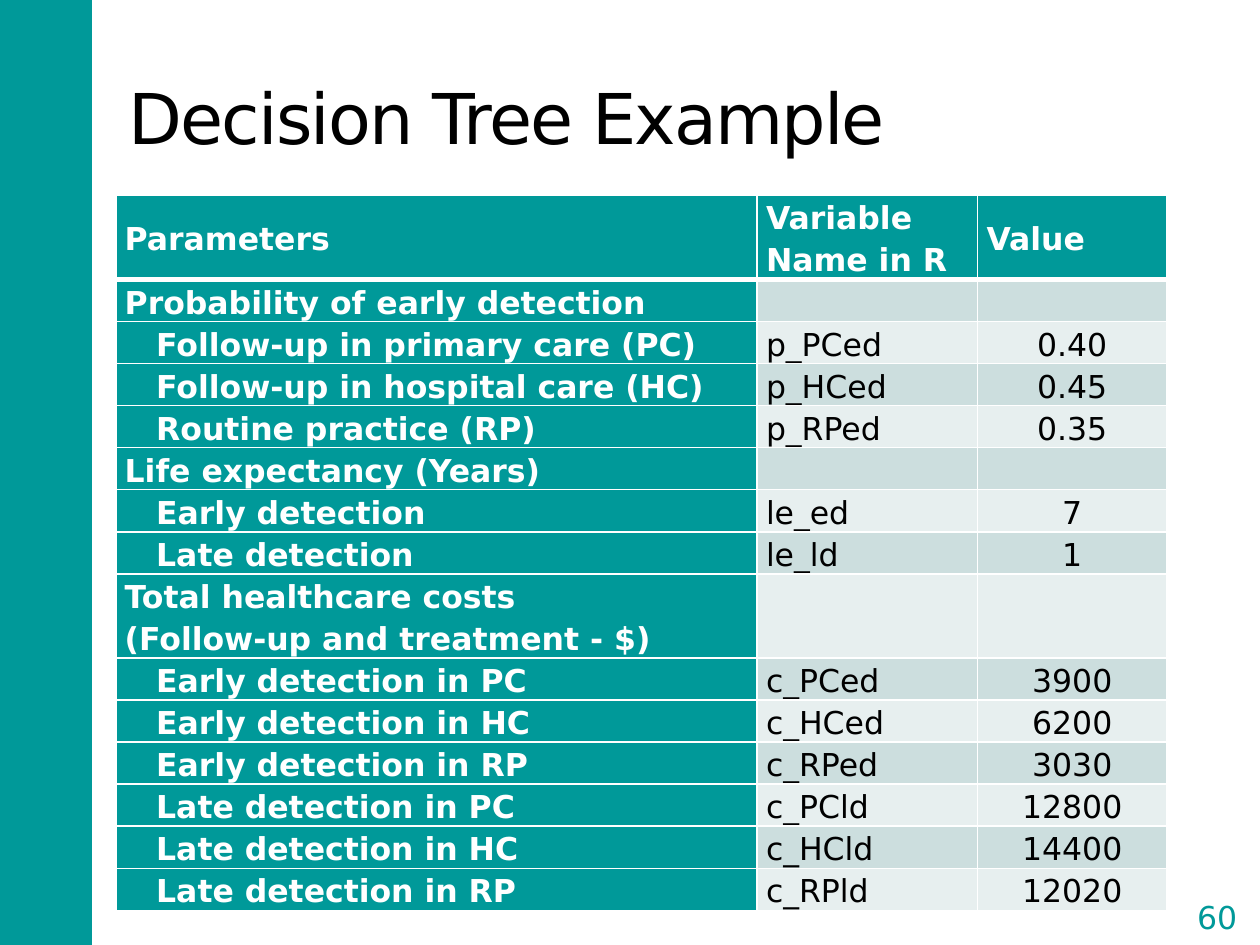
from dataclasses import dataclass

from lxml.etree import SubElement
from pptx import Presentation
from pptx.dml.color import RGBColor
from pptx.enum.shapes import MSO_SHAPE
from pptx.enum.text import MSO_ANCHOR, PP_ALIGN
from pptx.oxml.ns import qn
from pptx.util import Inches, Pt


@dataclass(frozen=True)
class Theme:
    font: str = "DejaVu Sans"
    teal: str = "009999"
    dark_band: str = "CCDEDE"
    light_band: str = "E7EFEF"
    white: str = "FFFFFF"
    black: str = "000000"
    title_size: int = 40
    body_size: int = 18


HEADER = ("Parameters", "Variable\u00a0Name in R".replace("\u00a0", " "), "Value")
# A row without a variable name opens a group.
PARAMETERS = [
    ("Probability of early detection", "", ""),
    ("Follow-up in primary care (PC)", "p_PCed", "0.40"),
    ("Follow-up in hospital care (HC)", "p_HCed", "0.45"),
    ("Routine practice (RP)", "p_RPed", "0.35"),
    ("Life expectancy (Years)", "", ""),
    ("Early detection", "le_ed", "7"),
    ("Late detection", "le_ld", "1"),
    ("Total healthcare costs\n(Follow-up and treatment - $)", "", ""),
    ("Early detection in PC", "c_PCed", "3900"),
    ("Early detection in HC", "c_HCed", "6200"),
    ("Early detection in RP", "c_RPed", "3030"),
    ("Late detection in PC", "c_PCld", "12800"),
    ("Late detection in HC", "c_HCld", "14400"),
    ("Late detection in RP", "c_RPld", "12020"),
]
COLUMN_WIDTHS = (5.09, 1.75, 1.5)
LINE_HEIGHT = 0.33


class SlideBuilder:
    def __init__(self, page, theme):
        self.page = page
        self.theme = theme

    def style(self, para, size, color, bold=False, align=PP_ALIGN.LEFT):
        para.alignment = align
        font = para.font
        font.name, font.size, font.bold = self.theme.font, Pt(size), bold
        font.color.rgb = RGBColor.from_string(color)

    def fill(self, target, color):
        target.fill.solid()
        target.fill.fore_color.rgb = RGBColor.from_string(color)

    def title(self, text, left, top, width, height):
        box = self.page.shapes.title
        box.left, box.top = Inches(left), Inches(top)
        box.width, box.height = Inches(width), Inches(height)
        box.text_frame.text = text
        box.text_frame.vertical_anchor = MSO_ANCHOR.MIDDLE
        para = box.text_frame.paragraphs[0]
        self.style(para, self.theme.title_size, self.theme.black)
        para.runs[0].font._element.set("spc", "-100")

    def shape(self, kind, left, top, width, height):
        shape = self.page.shapes.add_shape(
            kind, Inches(left), Inches(top), Inches(width), Inches(height))
        shape.shadow.inherit = False
        return shape

    def side_bar(self, left, top, width, height):
        bar = self.shape(MSO_SHAPE.RECTANGLE, left, top, width, height)
        self.fill(bar, self.theme.teal)
        bar.line.fill.background()

    def page_number(self, text, left, top, width, height):
        bracket = self.shape(MSO_SHAPE.DOUBLE_BRACKET, left, top, width, height)
        bracket.adjustments[0] = 0.18
        bracket.fill.background()
        bracket.line.color.rgb = RGBColor.from_string(self.theme.white)
        bracket.line.width = Pt(1.5)
        frame = bracket.text_frame
        frame.margin_left = frame.margin_right = 0
        frame.margin_top = frame.margin_bottom = 0
        frame.vertical_anchor = MSO_ANCHOR.MIDDLE
        frame.text = text
        self.style(frame.paragraphs[0], self.theme.body_size, self.theme.teal,
                   align=PP_ALIGN.CENTER)

    def borders(self, cell, bottom_width):
        """Rule all four sides; call before the fill, which must follow them."""
        properties = cell._tc.get_or_add_tcPr()
        for side, width in (("L", 1), ("R", 1), ("T", 1), ("B", bottom_width)):
            line = SubElement(properties, qn(f"a:ln{side}"), w=str(Pt(width)))
            solid = SubElement(line, qn("a:solidFill"))
            SubElement(solid, qn("a:srgbClr"), val=self.theme.white)

    def cell(self, cell, text, row, column, indented):
        theme = self.theme
        is_header = row == 0
        is_label = is_header or column == 0
        self.borders(cell, 3 if is_header else 1)
        band = theme.dark_band if row % 2 else theme.light_band
        self.fill(cell, theme.teal if is_label else band)
        cell.margin_left = cell.margin_right = Inches(0.07)
        cell.margin_top = cell.margin_bottom = 0
        cell.vertical_anchor = MSO_ANCHOR.MIDDLE if row < 2 else MSO_ANCHOR.TOP
        cell.text_frame.text = text
        centred = column == 2 and not is_header
        for para in cell.text_frame.paragraphs:
            self.style(para, theme.body_size,
                       theme.white if is_label else theme.black, is_label,
                       PP_ALIGN.CENTER if centred else PP_ALIGN.LEFT)
            para.line_spacing = 1.15
            if is_header:
                para.space_before = para.space_after = Pt(6)
            if indented and column == 0:
                para._p.get_or_add_pPr().set("marL", str(Inches(0.25)))

    def table(self, rows, left, top):
        line_counts = [2] + [label.count("\n") + 1 for label, *_ in rows[1:]]
        table = self.page.shapes.add_table(
            len(rows), len(COLUMN_WIDTHS), Inches(left), Inches(top),
            Inches(sum(COLUMN_WIDTHS)),
            Inches(LINE_HEIGHT * sum(line_counts))).table
        for column, width in zip(table.columns, COLUMN_WIDTHS):
            column.width = Inches(width)
        for r, (values, lines) in enumerate(zip(rows, line_counts)):
            table.rows[r].height = Inches(LINE_HEIGHT * lines)
            indented = r > 0 and bool(values[1])
            for c, text in enumerate(values):
                self.cell(table.cell(r, c), text, r, c, indented)


def main():
    deck = Presentation()
    deck.slide_width, deck.slide_height = Inches(10), Inches(7.5)
    page = deck.slides.add_slide(deck.slide_layouts[5])
    builder = SlideBuilder(page, Theme())
    builder.side_bar(-0.02, 0, 0.75, 7.5)
    builder.title("Decision Tree Example", 0.92, 0.3, 8.33, 1.25)
    builder.page_number("60", 9.36, 7.06, 0.6, 0.43)
    builder.table([HEADER, *PARAMETERS], 0.92, 1.55)
    deck.save("out.pptx")


if __name__ == "__main__":
    main()
